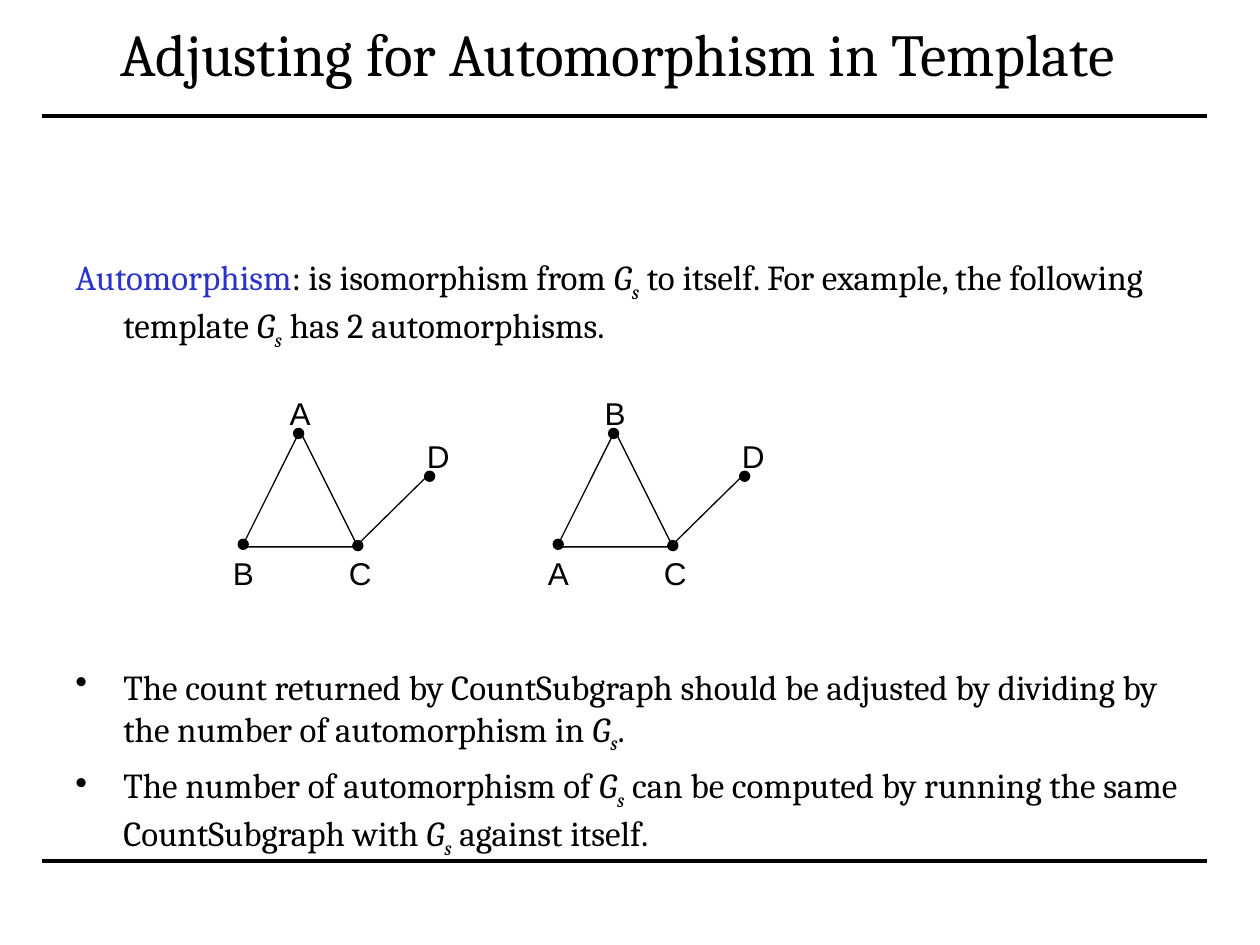
from dataclasses import dataclass

from lxml import etree
from pptx import Presentation
from pptx import util as u
from pptx.dml import color as col
from pptx.enum import shapes as kinds, text as txt
from pptx.oxml import ns


@dataclass(frozen=True)
class Theme:
    ink: col.RGBColor = col.RGBColor(0, 0, 0)
    term: col.RGBColor = col.RGBColor(0x2B, 0x34, 0xC8)
    serif: str = "Cambria"
    sans: str = "Arial"
    title: float = 34
    body: float = 20
    label: float = 18
    rule: float = 2.24
    edge: float = 0.74


@dataclass(frozen=True)
class Node:
    dot: tuple[float, float]
    label: tuple[float, float]
    width: float


@dataclass(frozen=True)
class Graph:
    left: float
    names: str


THEME = Theme()
DOT = 0.08
INDENT = 0.38

# Node places relative to the left corner of a graph: top, left, right, tail
NODES = (
    Node((0.41, 3.40), (0.28, 3.08), 0.36),
    Node((-0.03, 4.28), (-0.17, 4.35), 0.36),
    Node((0.88, 4.29), (0.75, 4.35), 0.38),
    Node((1.45, 3.74), (1.37, 3.42), 0.38),
)
GRAPHS = (Graph(1.92, "ABCD"), Graph(4.42, "BACD"))

# Underscores mark the template symbol, G with subscript s
INTRO = (": is isomorphism from _ to itself. For example, the following "
         "template _ has 2 automorphisms.")
POINTS = (
    "The count returned by CountSubgraph should be adjusted by dividing by "
    "the number of automorphism in _.",
    "The number of automorphism of _ can be computed by running the same "
    "CountSubgraph with _ against itself. ",
)

deck = Presentation()
deck.slide_width, deck.slide_height = u.Inches(10), u.Inches(7.5)
slide = deck.slides.add_slide(deck.slide_layouts[6])


def style(run, face: str, size: float, ink=THEME.ink) -> None:
    run.font.name = face
    run.font.size = u.Pt(size)
    run.font.color.rgb = ink


def add_box(x: float, y: float, w: float, h: float, wrap: bool = True):
    box = slide.shapes.add_textbox(*map(u.Inches, (x, y, w, h)))
    box.text_frame.word_wrap = wrap
    return box.text_frame


def add_line(x1: float, y1: float, x2: float, y2: float, width: float) -> None:
    line = slide.shapes.add_connector(
        kinds.MSO_CONNECTOR.STRAIGHT, *map(u.Inches, (x1, y1, x2, y2)))
    line.line.color.rgb = THEME.ink
    line.line.width = u.Pt(width)
    etree.SubElement(line._element.spPr, ns.qn("a:effectLst"))


def add_form(kind, x: float, y: float, size: float, solid: bool) -> None:
    form = slide.shapes.add_shape(kind, *map(u.Inches, (x, y, size, size)))
    form.shadow.inherit = False
    if solid:
        form.fill.solid()
        form.fill.fore_color.rgb = THEME.ink
    else:
        form.fill.background()
    form.line.color.rgb = THEME.ink
    form.line.width = u.Pt(THEME.edge)


def add_run(para, words: str, ink=THEME.ink):
    run = para.add_run()
    run.text = words
    style(run, THEME.serif, THEME.body, ink)
    return run


def add_prose(para, words: str) -> None:
    for i, part in enumerate(words.split("_")):
        if i:
            for sign in "Gs":
                run = add_run(para, sign)
                run.font.italic = True
                if sign == "s":
                    run.font._element.set("baseline", "-25000")
        add_run(para, part)


def hang(para, bullet: bool) -> None:
    para.space_before = u.Pt(5)
    props = para._p.get_or_add_pPr()
    props.set("marL", str(u.Inches(INDENT)))
    props.set("indent", str(u.Inches(-INDENT)))
    if bullet:
        etree.SubElement(props, ns.qn("a:buChar")).set("char", "•")


def draw_graph(graph: Graph) -> None:
    x = graph.left
    add_form(kinds.MSO_SHAPE.ISOSCELES_TRIANGLE, x, 3.42, 0.92, False)
    add_line(x + 0.91, 4.33, x + 1.5, 3.75, THEME.edge)
    for node, name in zip(NODES, graph.names):
        add_form(kinds.MSO_SHAPE.OVAL, x + node.dot[0], node.dot[1], DOT, True)
        frame = add_box(x + node.label[0], node.label[1], node.width, 0.4, False)
        frame.text = name
        style(frame.paragraphs[0].runs[0], THEME.sans, THEME.label)


# Rules
for y in (0.92, 6.83):
    add_line(0.33, y, 9.58, y, THEME.rule)

# Title
head = add_box(0.33, 0, 9.25, 0.83)
head.vertical_anchor = txt.MSO_ANCHOR.MIDDLE
head.text = "Adjusting for Automorphism in Template "
head.paragraphs[0].alignment = txt.PP_ALIGN.CENTER
style(head.paragraphs[0].runs[0], THEME.serif, THEME.title)

# Definition
para = add_box(0.5, 1.98, 9.11, 0.9).paragraphs[0]
hang(para, False)
add_run(para, "Automorphism", THEME.term)
add_prose(para, INTRO)

# Two labelings of the template
for graph in GRAPHS:
    draw_graph(graph)

# Bullet points
frame = add_box(0.5, 5.23, 9.11, 1.64)
for i, point in enumerate(POINTS):
    para = frame.add_paragraph() if i else frame.paragraphs[0]
    hang(para, True)
    add_prose(para, point)

deck.save("out.pptx")
